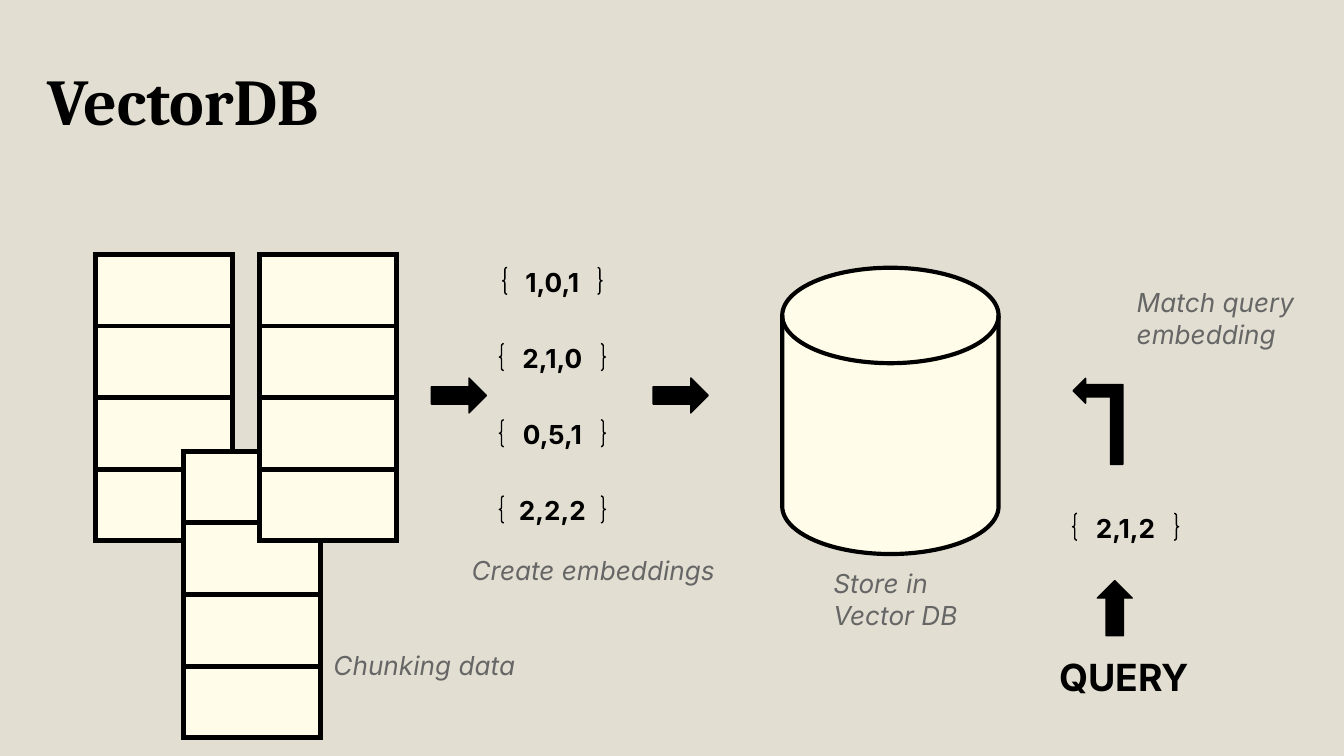
"""Build a slide that explains how a vector database is filled and queried."""
from lxml import etree
from pptx import Presentation
from pptx import util as u
from pptx.dml.color import RGBColor
from pptx.enum import shapes, text
from pptx.oxml import ns

COLORS = {"paper": "E2DFD2", "cream": "FFFCE9", "ink": "000000", "note": "666666"}
CELL = u.Inches(0.1)
COLUMNS, ROWS = 100, 56.25
SHAPE = shapes.MSO_SHAPE
ALIGN = text.PP_ALIGN


def grid(*cells):
    """Turn counts of grid cells into lengths."""
    return [u.Emu(round(count * CELL)) for count in cells]


def color(name):
    """Look up a colour of the palette."""
    return RGBColor.from_string(COLORS[name])


def write(box, words, size, ink="ink", font="Inter", bold=False, italic=False,
          align=ALIGN.LEFT, anchor=text.MSO_ANCHOR.TOP):
    """Put one formatted run into a box and return its paragraph."""
    frame = box.text_frame
    frame.word_wrap = True
    frame.auto_size = text.MSO_AUTO_SIZE.NONE
    frame.vertical_anchor = anchor
    frame.margin_left = frame.margin_right = CELL
    frame.margin_top = frame.margin_bottom = CELL
    para = frame.paragraphs[0]
    para.alignment = align
    span = para.add_run()
    span.text = words
    span.font.size = u.Pt(size)
    span.font.name = font
    span.font.bold, span.font.italic = bold, italic
    span.font.color.rgb = color(ink)
    return para


def add_title(page, words):
    """Fill the title placeholder."""
    title = page.shapes.title
    title.left, title.top, title.width, title.height = grid(2.5, 4.6, 57.5, 8.7)
    write(title, words, 35, font="Cambria", bold=True).line_spacing = 0.8


def add_label(page, words, place, size=14, **style):
    """Add a free line of text."""
    write(page.shapes.add_textbox(*grid(*place)), words, size, **style)


def add_figure(page, kind, place, fill=None, line=0.75, turn=0):
    """Add an outlined preset shape."""
    figure = page.shapes.add_shape(kind, *grid(*place))
    figure.shadow.inherit = False
    figure.rotation = turn
    figure.line.color.rgb = color("ink")
    figure.line.width = u.Pt(line)
    if fill:
        figure.fill.solid()
        figure.fill.fore_color.rgb = color(fill)
    else:
        figure.fill.background()
    return figure


def add_vector(page, words, center, top, width=7.9):
    """Add an embedding between braces."""
    braces = add_figure(page, SHAPE.DOUBLE_BRACE, (center - width / 2, top, width, 2))
    write(braces, words, 14, bold=True, align=ALIGN.CENTER,
          anchor=text.MSO_ANCHOR.MIDDLE)


def add_border(cell):
    """Draw all four sides of a table cell."""
    properties = cell._tc.get_or_add_tcPr()
    for side in ("a:lnL", "a:lnR", "a:lnT", "a:lnB"):
        line = etree.SubElement(properties, ns.qn(side), w=str(u.Pt(3)))
        fill = etree.SubElement(line, ns.qn("a:solidFill"))
        etree.SubElement(fill, ns.qn("a:srgbClr"), val=COLORS["ink"])


def add_document(page, left, top, chunks=4, width=10.2, height=5.33):
    """Add a document cut into equal chunks."""
    place = grid(left, top, width, chunks * height)
    table = page.shapes.add_table(chunks, 1, *place).table
    for row in table.rows:
        cell = row.cells[0]
        add_border(cell)
        cell.fill.solid()
        cell.fill.fore_color.rgb = color("cream")


def main():
    """Build and save the deck."""
    deck = Presentation()
    deck.slide_width, deck.slide_height = grid(COLUMNS, ROWS)
    page = deck.slides.add_slide(deck.slide_layouts[5])
    page.background.fill.solid()
    page.background.fill.fore_color.rgb = color("paper")
    add_title(page, "VectorDB")

    for left, top in ((7.1, 18.93), (13.65, 33.58), (19.3, 18.93)):
        add_document(page, left, top)

    for left, top, turn in ((32.1, 28.13, 0), (48.6, 28.13, 0), (80.9, 43.95, 270)):
        add_figure(page, SHAPE.RIGHT_ARROW, (left, top, 4.1, 2.6), "ink", turn=turn)
    add_figure(page, SHAPE.BENT_UP_ARROW, (78.5, 29.5, 6.4, 3.7), "ink", turn=270)
    add_figure(page, SHAPE.FLOWCHART_MAGNETIC_DISK, (58.2, 19.93, 16.1, 21.3),
               "cream", line=2.25)

    vectors = (("1,0,1", 7.4), ("2,1,0", 7.9), ("0,5,1", 7.9), ("2,2,2", 7.9))
    for step, (words, width) in enumerate(vectors):
        add_vector(page, words, 41.1, 19.9 + 5.67 * step, width)
    add_vector(page, "2,1,2", 83.75, 38.2)

    add_label(page, "QUERY", (77.83, 47.64, 16.1, 5.5), size=20, bold=True)
    captions = (("Chunking data", (23.83, 47.34, 18.6, 4.1)),
                ("Create embeddings", (34.1, 40.24, 24.1, 4.1)),
                ("Store in Vector DB", (61.03, 41.24, 13.3, 4.1)),
                ("Match query embedding", (83.6, 20.33, 15.3, 4.1)))
    for words, place in captions:
        add_label(page, words, place, ink="note", italic=True)
    deck.save("out.pptx")


if __name__ == "__main__":
    main()
